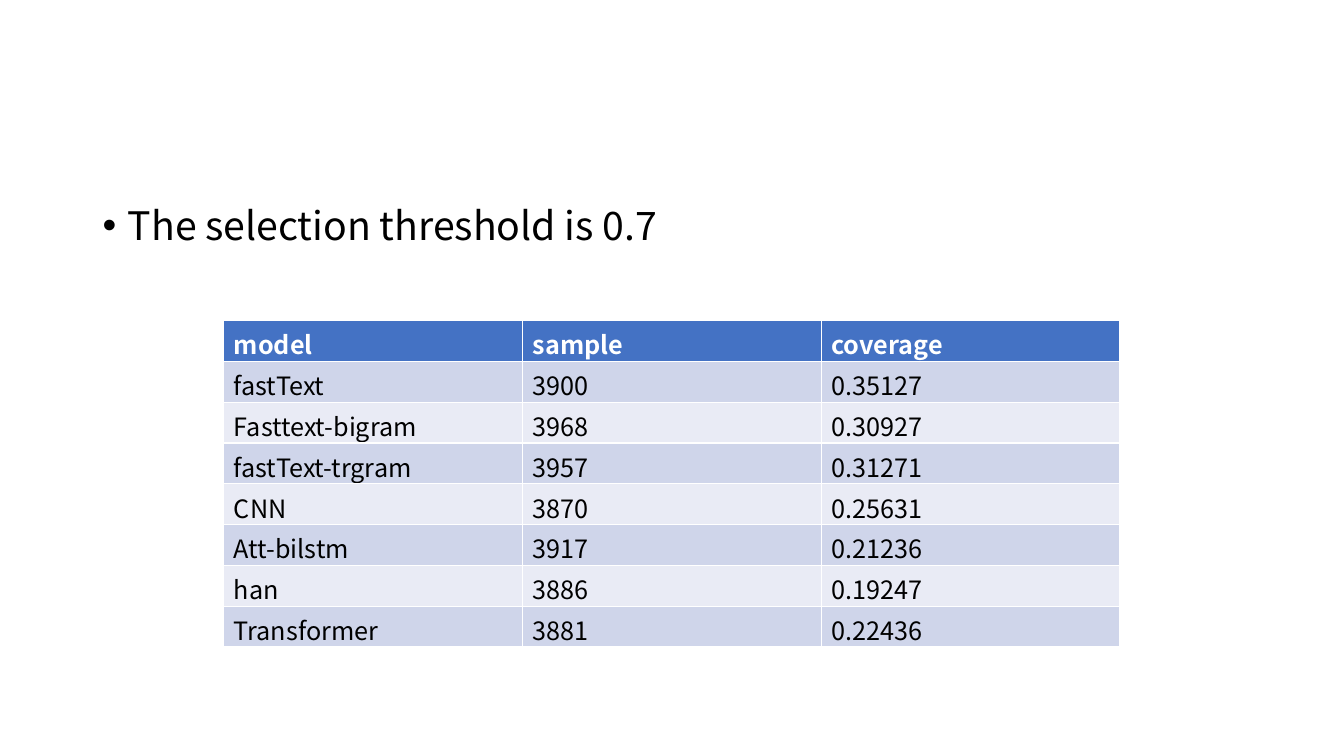
import pptx
import pptx.util
import pptx.dml.color
import pptx.oxml.ns
import lxml.etree

Inches = pptx.util.Inches
FONT = "Noto Sans CJK SC"
COLORS = {"text": "000000", "head": "4472C4", "white": "FFFFFF",
          "odd": "CFD5EA", "even": "E9EBF5"}
ROWS = [
    ("model", "sample", "coverage"),
    ("fastText", "3900", "0.35127"),
    ("Fasttext-bigram", "3968", "0.30927"),
    ("fastText-trgram", "3957", "0.31271"),
    ("CNN", "3870", "0.25631"),
    ("Att-bilstm", "3917", "0.21236"),
    ("han", "3886", "0.19247"),
    ("Transformer", "3881", "0.22436"),
]


def color(name):
    return pptx.dml.color.RGBColor.from_string(COLORS[name])


def add_run(para, text, size, tint, bold=False):
    run = para.add_run()
    run.text = text
    run.font.name = FONT
    run.font.size = pptx.util.Pt(size)
    run.font.bold = bold
    run.font.color.rgb = color(tint)


def add_bullet(slide, text, left, top, width, height):
    box = slide.shapes.add_textbox(
        Inches(left), Inches(top), Inches(width), Inches(height))
    box.text_frame.word_wrap = True
    para = box.text_frame.paragraphs[0]
    props = para._p.get_or_add_pPr()
    props.set("marL", str(Inches(0.25)))
    props.set("indent", str(Inches(-0.25)))
    qn = pptx.oxml.ns.qn
    lxml.etree.SubElement(props, qn("a:buFont"), typeface="Arial")
    lxml.etree.SubElement(props, qn("a:buChar"), char="•")
    para.line_spacing = 0.9
    add_run(para, text, 28, "text")


def add_scores(slide, rows, left, top, width, height):
    table = slide.shapes.add_table(
        len(rows), len(rows[0]), Inches(left), Inches(top),
        Inches(width), Inches(height)).table
    for i, row in enumerate(rows):
        head = i == 0
        fill = "head" if head else "odd" if i % 2 else "even"
        for j, text in enumerate(row):
            cell = table.cell(i, j)
            cell.fill.solid()
            cell.fill.fore_color.rgb = color(fill)
            add_run(cell.text_frame.paragraphs[0], text, 18,
                    "white" if head else "text", head)


def main():
    deck = pptx.Presentation()
    deck.slide_width = Inches(13.33)
    deck.slide_height = Inches(7.5)
    slide = deck.slides.add_slide(deck.slide_layouts[6])
    add_bullet(slide, "The selection threshold is 0.7", 0.92, 2, 11.5, 4.76)
    add_scores(slide, ROWS, 2.22, 3.18, 8.89, 3.24)
    deck.save("out.pptx")


if __name__ == "__main__":
    main()
